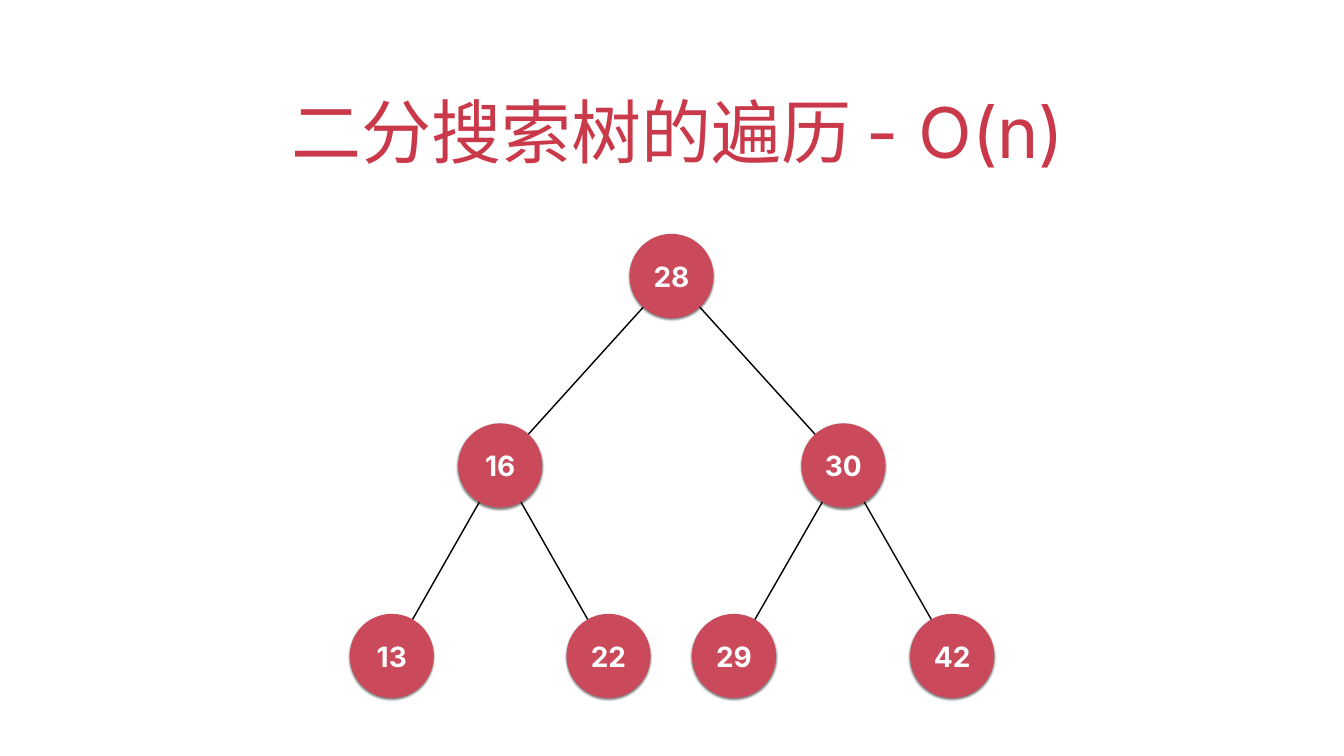
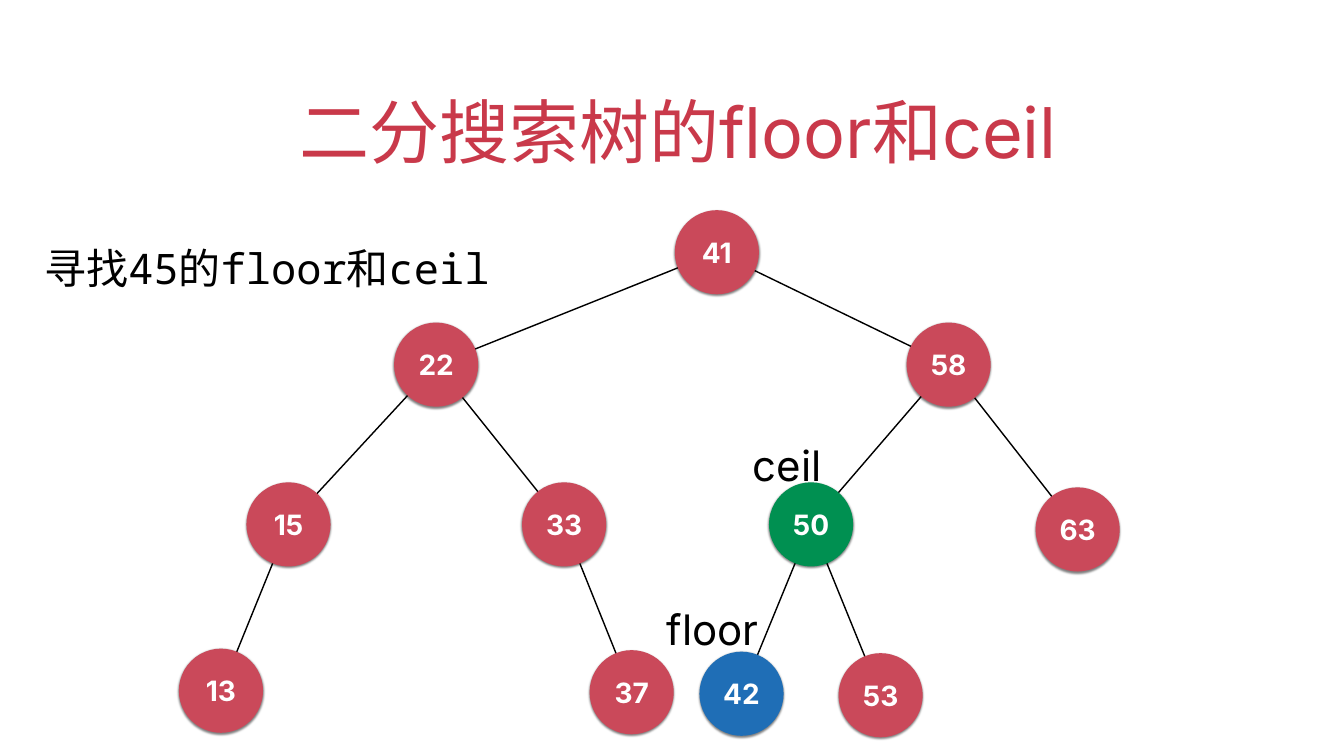
from lxml import etree
from pptx import Presentation
from pptx.dml.color import RGBColor
from pptx.enum.shapes import MSO_CONNECTOR as Connector, MSO_SHAPE as Shape
from pptx.enum.text import MSO_ANCHOR as Anchor, MSO_AUTO_SIZE as AutoSize, PP_ALIGN as Align
from pptx.oxml import parse_xml
from pptx.oxml.ns import nsdecls, qn
from pptx.util import Inches, Pt

CRIMSON = RGBColor(0xC9, 0x39, 0x4A)
ROSE = RGBColor(0xCA, 0x49, 0x5A)
GREEN = RGBColor(0x00, 0x90, 0x51)
BLUE = RGBColor(0x1F, 0x6E, 0xB6)
BLACK = RGBColor(0, 0, 0)
WHITE = RGBColor(0xFF, 0xFF, 0xFF)
SANS = "Inter"
MONO = "Noto Sans Mono"
NODE_SIZE = 1.67
SHADOW = (
    f'<a:effectLst {nsdecls("a")}>'
    '<a:outerShdw blurRad="38100" dist="25400" dir="5400000" rotWithShape="0">'
    '<a:srgbClr val="000000"><a:alpha val="50000"/></a:srgbClr>'
    '</a:outerShdw></a:effectLst>'
)


def write(shape, text, size=60, color=BLACK, font=SANS, bold=False,
          align=Align.LEFT, anchor=Anchor.MIDDLE, spacing=None, wrap=True,
          fit=AutoSize.NONE):
    """Fill a shape with one formatted paragraph and return it."""
    frame = shape.text_frame
    frame.word_wrap = wrap
    frame.auto_size = fit
    frame.vertical_anchor = anchor
    frame.margin_left = frame.margin_right = Inches(0.06)
    frame.margin_top = frame.margin_bottom = Inches(0.06)
    para = frame.paragraphs[0]
    para.alignment = align
    if spacing:
        para.line_spacing = spacing
    span = para.add_run()
    span.text = text
    span.font.name = font
    span.font.size = Pt(size)
    span.font.bold = bold
    span.font.color.rgb = color
    return para


class TreeDeck:
    """Deck style and the slide being drawn."""

    def __init__(self):
        self.deck = Presentation()
        self.deck.slide_width = Inches(26.67)
        self.deck.slide_height = Inches(15)
        self.page = None

    def start_page(self, title):
        """Add a slide with its title."""
        self.page = self.deck.slides.add_slide(self.deck.slide_layouts[0])
        subtitle = self.page.placeholders[1].element
        subtitle.getparent().remove(subtitle)
        box = self.page.shapes.title
        box.left, box.top = Inches(1.94), Inches(1.27)
        box.width, box.height = Inches(22.78), Inches(2.22)
        para = write(box, title, size=100, color=CRIMSON,
                     align=Align.CENTER, anchor=Anchor.BOTTOM)
        properties = para._p.get_or_add_pPr()
        properties.set("marL", "0")
        properties.set("indent", str(Inches(0.25)))

    def edge(self, canvas, start, end):
        """Join the centres of two nodes."""
        half = NODE_SIZE / 2
        points = [Inches(value + half) for value in (*start, *end)]
        line = canvas.add_connector(Connector.STRAIGHT, *points)
        line.line.color.rgb = BLACK
        line.line.width = Pt(2)
        etree.SubElement(line._element.spPr, qn("a:effectLst"))

    def node(self, canvas, key, place, color):
        """Draw one round node with its key."""
        left, top = place
        circle = canvas.add_shape(Shape.OVAL, Inches(left), Inches(top),
                                  Inches(NODE_SIZE), Inches(NODE_SIZE))
        circle.fill.solid()
        circle.fill.fore_color.rgb = color
        circle.line.fill.background()
        circle._element.spPr.append(parse_xml(SHADOW))
        write(circle, str(key), size=40, color=WHITE, bold=True, align=Align.CENTER)

    def tree(self, places, children, grouped=False, marked=None):
        """Draw the edges of a tree, then its nodes on top."""
        shapes = self.page.shapes
        canvas = shapes.add_group_shape().shapes if grouped else shapes
        for parent, keys in children.items():
            for key in keys:
                self.edge(canvas, places[key], places[parent])
        for key, place in places.items():
            self.node(canvas, key, place, (marked or {}).get(key, ROSE))

    def label(self, text, left, top, width, height, font=SANS):
        """Place a text box beside the tree."""
        box = self.page.shapes.add_textbox(Inches(left), Inches(top),
                                           Inches(width), Inches(height))
        write(box, text, font=font, spacing=1.5, fit=AutoSize.SHAPE_TO_FIT_TEXT)


def main():
    """Build both slides and save the deck."""
    show = TreeDeck()

    show.start_page("二分搜索树的遍历 - O(n)")
    show.tree(
        places={
            28: (12.49, 4.64),
            16: (9.09, 8.4), 30: (15.9, 8.4),
            13: (6.94, 12.18), 22: (11.24, 12.18),
            29: (13.73, 12.18), 42: (18.06, 12.18),
        },
        children={28: (16, 30), 16: (13, 22), 30: (29, 42)},
        grouped=True,
    )

    show.start_page("二分搜索树的floor和ceil")
    show.tree(
        places={
            41: (13.39, 4.17),
            22: (7.82, 6.4), 58: (17.99, 6.4),
            15: (4.89, 9.57), 33: (10.36, 9.57),
            50: (15.26, 9.57), 63: (20.55, 9.67),
            13: (3.55, 12.87), 37: (11.7, 12.9),
            42: (13.88, 12.93), 53: (16.64, 12.96),
        },
        children={41: (22, 58), 22: (15, 33), 58: (50, 63),
                  15: (13,), 33: (37,), 50: (42, 53)},
        marked={50: GREEN, 42: BLUE},
    )
    show.label("寻找45的floor和ceil", 0.82, 4.42, 12.27, 1.28, font=MONO)
    show.label("floor", 13.17, 11.67, 2.42, 1.11)
    show.label("ceil", 14.88, 8.41, 2.42, 1.11)

    show.deck.save("out.pptx")


main()
